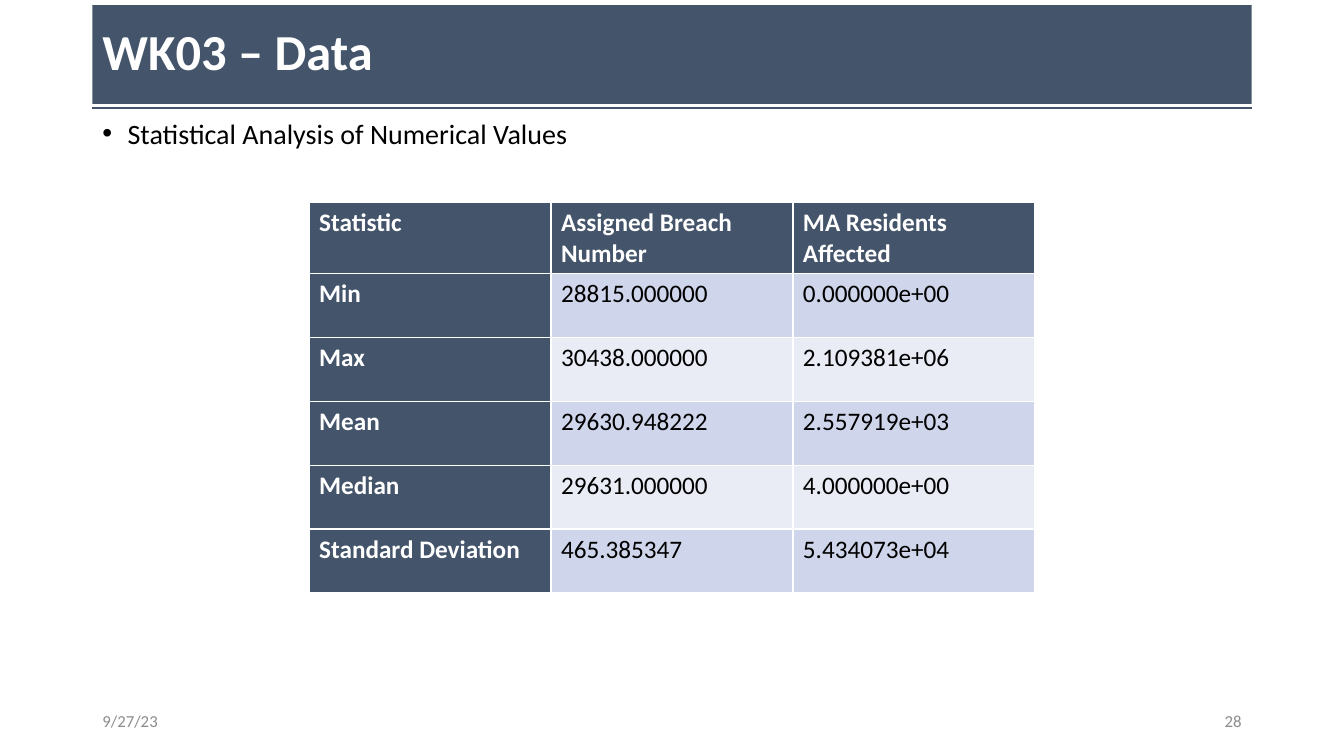
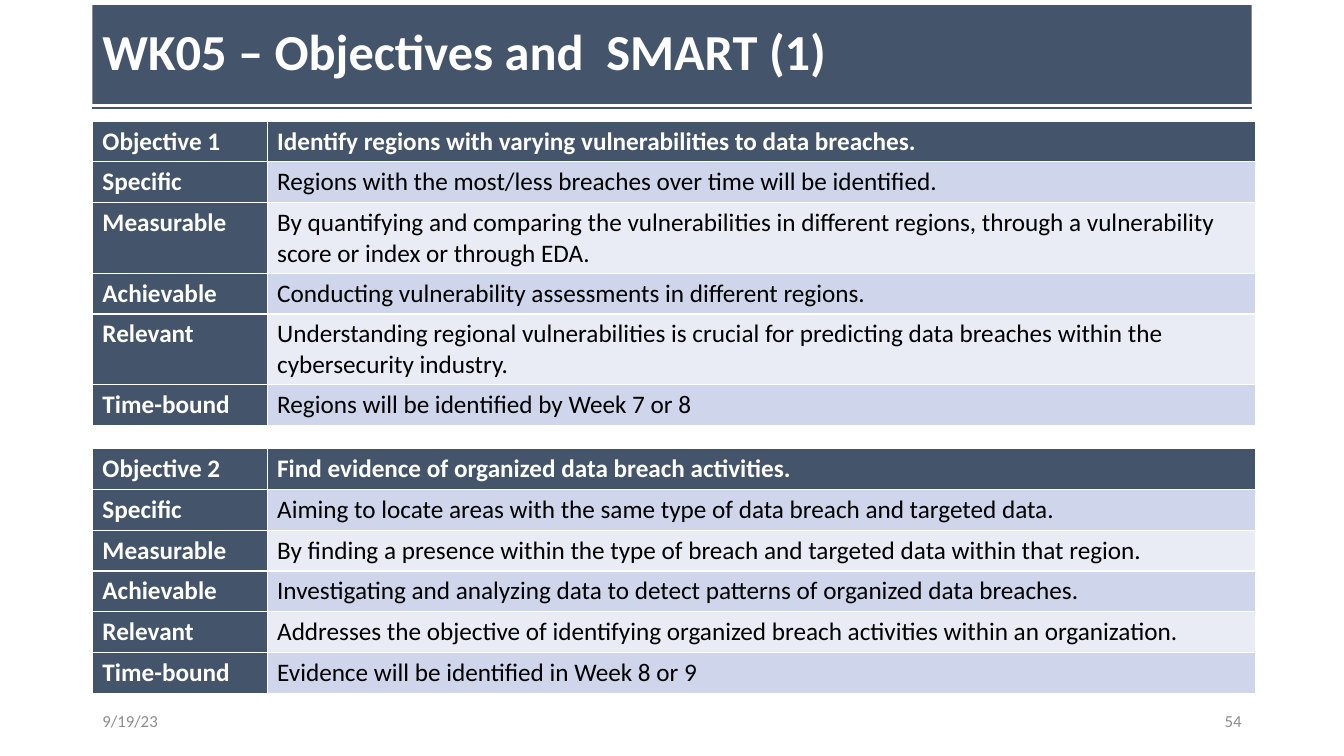
from dataclasses import dataclass

from lxml.etree import SubElement
from pptx import Presentation
from pptx.dml.color import RGBColor
from pptx.enum.shapes import MSO_CONNECTOR
from pptx.enum.text import MSO_ANCHOR, MSO_AUTO_SIZE, PP_ALIGN
from pptx.oxml import parse_xml
from pptx.oxml.ns import nsdecls, qn
from pptx.util import Inches, Pt


@dataclass(frozen=True)
class Theme:
    font: str = "Calibri"
    navy: str = "44546A"
    white: str = "FFFFFF"
    black: str = "000000"
    grey: str = "8C8C8C"
    bands: tuple = ("CFD5EA", "E9EBF5")
    title_size: int = 36
    bullet_size: int = 20
    table_size: int = 18
    footer_size: int = 12


theme = Theme()

# Grid: 160 columns by 150 rows
deck = Presentation()
deck.slide_width, deck.slide_height = Inches(13.33), Inches(7.5)
COLS, ROWS = 160, 150
COL, ROW = deck.slide_width / COLS, deck.slide_height / ROWS
MARGIN = 11
CONTENT = COLS - 2 * MARGIN
FOOTER_COLS = 36


def add_run(paragraph, text, size, color, bold=False):
    run = paragraph.add_run()
    run.text = text
    run.font.name, run.font.size, run.font.bold = theme.font, Pt(size), bold
    run.font.color.rgb = RGBColor.from_string(color)


def add_grid_table(slide, left, top, col_widths, row_height, records):
    table = slide.shapes.add_table(
        len(records), len(col_widths), int(left * COL), int(top * ROW),
        int(sum(col_widths) * COL), int(len(records) * row_height * ROW)).table
    for column, width in zip(table.columns, col_widths):
        column.width = int(width * COL)
    for r, record in enumerate(records):
        table.rows[r].height = int(row_height * ROW)
        for c, text in enumerate(record):
            heading = r == 0 or c == 0
            cell = table.cell(r, c)
            # Borders come before the fill in the cell properties
            for side in ("lnL", "lnR", "lnT", "lnB"):
                cell._tc.get_or_add_tcPr().append(parse_xml(
                    f'<a:{side} {nsdecls("a")} w="{Pt(1)}"><a:solidFill>'
                    f'<a:srgbClr val="{theme.white}"/></a:solidFill></a:{side}>'))
            cell.fill.solid()
            cell.fill.fore_color.rgb = RGBColor.from_string(
                theme.navy if heading else theme.bands[(r - 1) % 2])
            add_run(cell.text_frame.paragraphs[0], text, theme.table_size,
                    theme.white if heading else theme.black, heading)


# Content
statistics = [
    ("Statistic", "Assigned Breach Number", "MA Residents Affected"),
    ("Min", "28815.000000", "0.000000e+00"),
    ("Max", "30438.000000", "2.109381e+06"),
    ("Mean", "29630.948222", "2.557919e+03"),
    ("Median", "29631.000000", "4.000000e+00"),
    ("Standard Deviation", "465.385347", "5.434073e+04"),
]
criteria = ("Specific", "Measurable", "Achievable", "Relevant", "Time-bound")
objectives = [
    ("Identify regions with varying vulnerabilities to data breaches.",
     "Regions with the most/less breaches over time will be identified.",
     "By quantifying and comparing the vulnerabilities in different regions, "
     "through a vulnerability score or index or through EDA.",
     "Conducting vulnerability assessments in different regions.",
     "Understanding regional vulnerabilities is crucial for predicting data "
     "breaches within the cybersecurity industry.",
     "Regions will be identified by Week 7 or 8"),
    ("Find evidence of organized data breach activities.",
     "Aiming to locate areas with the same type of data breach and targeted data.",
     "By finding a presence within the type of breach and targeted data within "
     "that region.",
     "Investigating and analyzing data to detect patterns of organized data breaches.",
     "Addresses the objective of identifying organized breach activities within "
     "an organization.",
     "Evidence will be identified in Week 8 or 9"),
]
headers = [
    ("WK03 – Data", "9/27/23", "28"),
    ("WK05 – Objectives and  SMART (1)", "9/19/23", "54"),
]

# Shared frame: title band, rule, date and page number
slides = []
for heading, date, page in headers:
    slide = deck.slides.add_slide(deck.slide_layouts[5])
    slides.append(slide)

    title = slide.shapes.title
    title.left, title.top = int(MARGIN * COL), int(ROW)
    title.width, title.height = int(CONTENT * COL), int(19.6 * ROW)
    title.fill.solid()
    title.fill.fore_color.rgb = RGBColor.from_string(theme.navy)
    title.text_frame.vertical_anchor = MSO_ANCHOR.MIDDLE
    title.text_frame.auto_size = MSO_AUTO_SIZE.NONE
    title_line = title.text_frame.paragraphs[0]
    title_line.alignment, title_line.line_spacing = PP_ALIGN.LEFT, 0.9
    add_run(title_line, heading, theme.title_size, theme.white, True)

    rule_y = int(21.4 * ROW)
    rule = slide.shapes.add_connector(
        MSO_CONNECTOR.STRAIGHT, int(MARGIN * COL), rule_y,
        int((MARGIN + CONTENT) * COL), rule_y)
    rule.line.color.rgb = RGBColor.from_string(theme.navy)
    rule.line.width = Pt(1.5)
    SubElement(rule._element.spPr, qn("a:effectLst"))

    for text, left, align in (
            (date, MARGIN, PP_ALIGN.LEFT),
            (page, COLS - MARGIN - FOOTER_COLS, PP_ALIGN.RIGHT)):
        footer = slide.shapes.add_textbox(
            int(left * COL), int(139 * ROW),
            int(FOOTER_COLS * COL), int(8 * ROW)).text_frame
        footer.word_wrap = True
        footer.vertical_anchor = MSO_ANCHOR.MIDDLE
        footer.paragraphs[0].alignment = align
        add_run(footer.paragraphs[0], text, theme.footer_size, theme.grey)

data_slide, smart_slide = slides

# Data: bullet and centred statistics table
topic = data_slide.shapes.add_textbox(
    int(MARGIN * COL), int(22.8 * ROW), int(CONTENT * COL), int(10 * ROW)).text_frame
topic.word_wrap = True
topic_line = topic.paragraphs[0]
topic_line.line_spacing, topic_line.space_after = 0.9, Pt(6)
bullet = topic_line._p.get_or_add_pPr()
bullet.set("marL", str(Inches(0.25)))
bullet.set("indent", str(-Inches(0.25)))
SubElement(bullet, qn("a:buFont")).set("typeface", "Arial")
SubElement(bullet, qn("a:buChar")).set("char", "•")
add_run(topic_line, "Statistical Analysis of Numerical Values",
        theme.bullet_size, theme.black)

statistic_cols = [28.8] * 3
add_grid_table(data_slide, (COLS - sum(statistic_cols)) / 2, 40.2,
               statistic_cols, 12.7, statistics)

# SMART: one table per objective
for number, (top, (goal, *answers)) in enumerate(zip((24, 89), objectives), start=1):
    add_grid_table(smart_slide, MARGIN, top, [20.8, 117.7], 8.1,
                   [(f"Objective {number}", goal), *zip(criteria, answers)])

deck.save("out.pptx")
